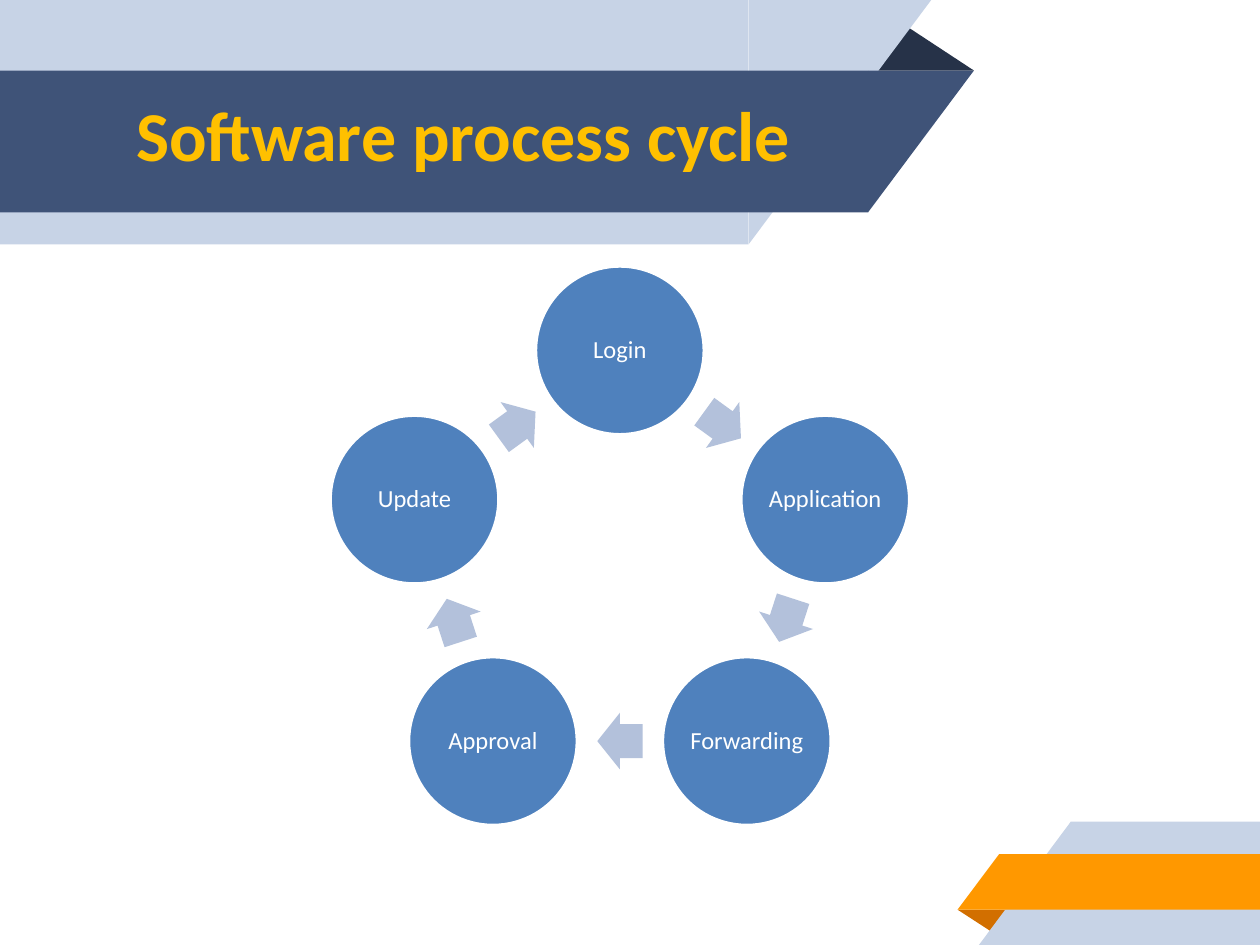
from math import cos, pi, radians, sin

from pptx import Presentation
from pptx.dml.color import RGBColor
from pptx.enum.shapes import MSO_SHAPE
from pptx.enum.text import MSO_ANCHOR, PP_ALIGN
from pptx.util import Inches, Pt

COLORS = {
    "pale": "C7D3E6", "navy": "3F5378", "navy_fold": "263248",
    "orange": "FF9800", "orange_fold": "D26F00",
    "step": "4F81BD", "arrow": "B3C1DB", "white": "FFFFFF", "title": "FFC000",
}
COLUMNS, ROWS = 100, 75
STEPS = ["Login", "Application", "Forwarding", "Approval", "Update"]


class SlideBuilder:
    """Draws styled elements on one page, measured in grid columns and rows."""

    font = "Calibri"

    def __init__(self, deck):
        self.column = deck.slide_width / COLUMNS
        self.row = deck.slide_height / ROWS
        self.page = deck.slides.add_slide(deck.slide_layouts[5])

    def place(self, left, top, width, height):
        return (round(left * self.column), round(top * self.row),
                round(width * self.column), round(height * self.row))

    def shape(self, kind, box, color, rotation=0, flip=False, adjustments=()):
        shape = self.page.shapes.add_shape(kind, *self.place(*box))
        shape.shadow.inherit = False
        shape.fill.solid()
        shape.fill.fore_color.rgb = RGBColor.from_string(COLORS[color])
        shape.line.fill.background()
        shape.rotation = rotation
        if flip:
            shape.element.spPr.xfrm.set("flipH", "1")
        for index, value in enumerate(adjustments):
            shape.adjustments[index] = value
        return shape

    def fold(self, box, color, rotation=0):
        self.shape(MSO_SHAPE.ISOSCELES_TRIANGLE, box, color, rotation,
                   adjustments=[0.32])

    def ribbon(self, body, slant, color, rotation=0):
        """Draws a bar on the slide edge with a slanted inner end."""
        left, top, width, height = body
        tip = left + width if rotation else left - slant
        self.shape(MSO_SHAPE.RECTANGLE, body, color, rotation, True)
        self.shape(MSO_SHAPE.RIGHT_TRIANGLE, (tip, top, slant, height),
                   color, rotation, True)

    def label(self, shape, text, size, color, inset, align, bold=False):
        frame = shape.text_frame
        frame.text = text
        frame.word_wrap = True
        frame.vertical_anchor = MSO_ANCHOR.MIDDLE
        frame.margin_left = frame.margin_right = Inches(inset)
        frame.margin_top = frame.margin_bottom = Inches(inset)
        para = frame.paragraphs[0]
        para.alignment = align
        para.line_spacing = 0.9
        font = para.runs[0].font
        font.name, font.size, font.bold = self.font, Pt(size), bold
        font.color.rgb = RGBColor.from_string(COLORS[color])

    def title(self, text, box):
        title = self.page.shapes.title
        title.left, title.top, title.width, title.height = self.place(*box)
        self.label(title, text, 40, "title", 0.1, PP_ALIGN.LEFT, True)
        title.element.getparent().append(title.element)

    def cycle(self, names, center, radius, diameter, arrow_size):
        """Spaces steps evenly on a ring with an arrow midway between each pair."""
        turn = 360 / len(names)
        middle = radius * cos(pi / len(names))

        def centered(angle, distance, width, height):
            x = center[0] + distance * sin(radians(angle))
            y = center[1] - distance * cos(radians(angle))
            return x - width / 2, y - height / 2, width, height

        for index, name in enumerate(names):
            angle = index * turn
            step = self.shape(MSO_SHAPE.OVAL,
                              centered(angle, radius, diameter, diameter), "step")
            step.line.color.rgb = RGBColor.from_string(COLORS["white"])
            step.line.width = Pt(2)
            self.label(step, name, 14, "white", 0.02, PP_ALIGN.CENTER)
            heading = angle + turn / 2
            self.shape(MSO_SHAPE.RIGHT_ARROW,
                       centered(heading, middle, *arrow_size),
                       "arrow", heading, adjustments=[0.6, 0.5])


def main():
    deck = Presentation()
    deck.slide_width, deck.slide_height = Inches(10), Inches(7.5)
    builder = SlideBuilder(deck)

    builder.fold((68.8, 1.8, 8.5, 3.8), "navy_fold")
    builder.ribbon((0, 0, 59.4, 19.4), 14.5, "pale", 180)
    builder.ribbon((0, 5.6, 68.9, 11.25), 8.4, "navy", 180)

    builder.fold((76, 72.2, 4.3, 1.9), "orange_fold", 180)
    builder.ribbon((85, 65.2, 15, 9.8), 7.3, "pale")
    builder.ribbon((79.3, 67.8, 20.7, 4.4), 3.3, "orange")

    builder.cycle(STEPS, (49.2, 44.95), 17.14, 13.4, (3.6, 4.5))
    builder.title("Software process cycle", (9.8, 6.8, 56.7, 8.4))
    deck.save("out.pptx")


if __name__ == "__main__":
    main()
